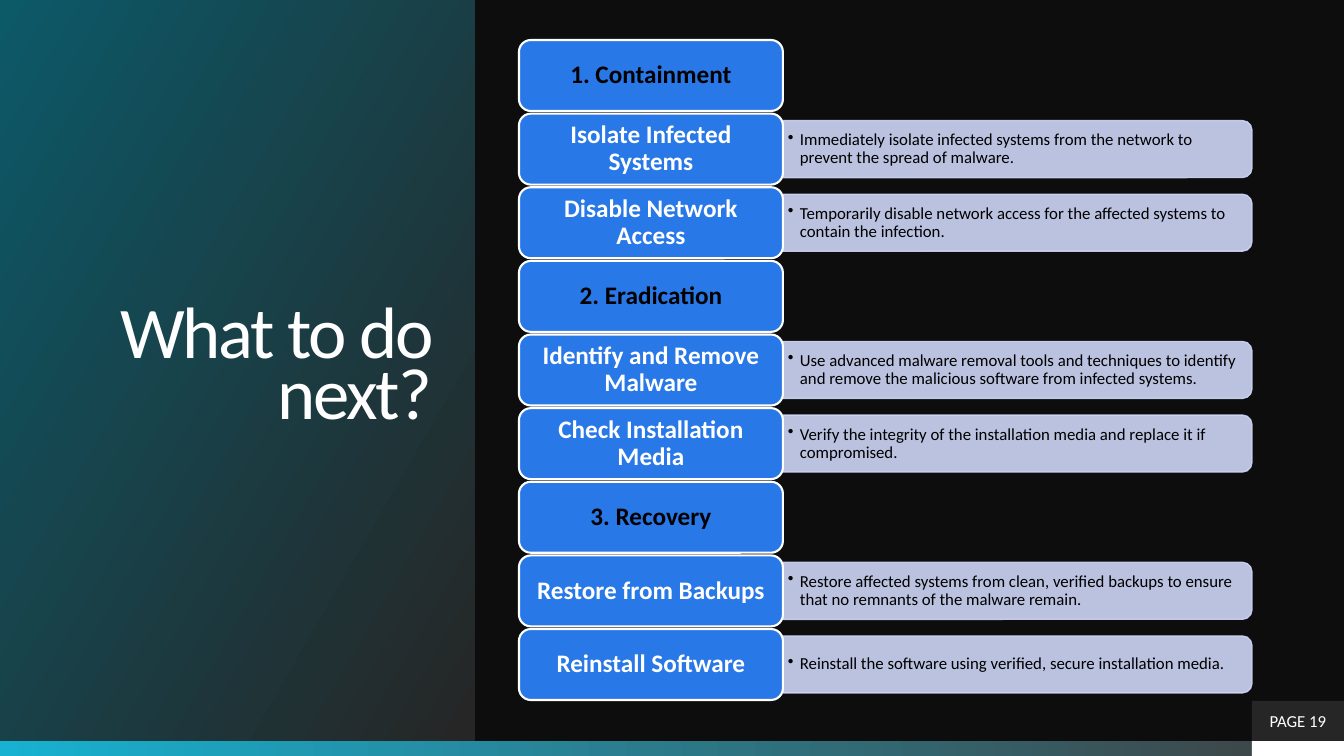
from pptx import Presentation
from pptx.dml.color import RGBColor
from pptx.enum.shapes import MSO_SHAPE as Shape
from pptx.enum.text import MSO_ANCHOR as Anchor, PP_ALIGN as Align
from pptx.oxml.ns import qn
from pptx.util import Pt
from lxml.etree import SubElement

PX = 914400 / 100.8
COLORS = {
    "backdrop": "0D0D0D", "white": "FFFFFF", "black": "000000",
    "charcoal": "262626", "gray": "404040", "teal": "0C5968",
    "cyan": "17B2D1", "blue": "2978E7", "lavender": "CDD6F6",
}
STEPS = [
    ("1. Containment", None),
    ("Isolate Infected Systems",
     "Immediately isolate infected systems from the network to prevent the spread of malware."),
    ("Disable Network Access",
     "Temporarily disable network access for the affected systems to contain the infection."),
    ("2. Eradication", None),
    ("Identify and Remove Malware",
     "Use advanced malware removal tools and techniques to identify and remove the malicious "
     "software from infected systems."),
    ("Check Installation Media",
     "Verify the integrity of the installation media and replace it if compromised."),
    ("3. Recovery", None),
    ("Restore from Backups",
     "Restore affected systems from clean, verified backups to ensure that no remnants of the "
     "malware remain."),
    ("Reinstall Software",
     "Reinstall the software using verified, secure installation media."),
]


def emu(px):
    """Turn pixels into EMU."""
    return round(px * PX)


def rgb(name):
    """Look up a named colour."""
    return RGBColor.from_string(COLORS[name])


def add_panel(slide, box, fill=None, kind=Shape.RECTANGLE, line=None, line_pt=1):
    """Add a shadowless shape with an optional solid fill and outline."""
    panel = slide.shapes.add_shape(kind, *map(emu, box))
    panel.shadow.inherit = False
    if fill:
        panel.fill.solid()
        panel.fill.fore_color.rgb = rgb(fill)
    if line:
        panel.line.color.rgb = rgb(line)
        panel.line.width = Pt(line_pt)
    else:
        panel.line.fill.background()
    return panel


def shade(panel, stops, angle):
    """Fill a panel with a two-stop gradient."""
    panel.fill.gradient()
    panel.fill.gradient_angle = angle
    for stop, (position, color) in zip(panel.fill.gradient_stops, stops):
        stop.position = position
        stop.color.rgb = rgb(color)


def write(holder, text, size, color="white", align=Align.CENTER, bold=False,
          spacing=1.0, insets=(10, 5), tracking=0, bullet_indent=0):
    """Write one formatted paragraph into a shape or text box."""
    frame = holder.text_frame
    frame.word_wrap = True
    frame.vertical_anchor = Anchor.MIDDLE
    frame.margin_left = frame.margin_right = emu(insets[0])
    frame.margin_top = frame.margin_bottom = emu(insets[1])
    paragraph = frame.paragraphs[0]
    paragraph.alignment = align
    paragraph.line_spacing = spacing
    run = paragraph.add_run()
    run.text = text
    run.font.name = "Calibri"
    run.font.size = Pt(size)
    run.font.bold = bold
    run.font.color.rgb = rgb(color)
    if tracking:
        run.font._element.set("spc", str(tracking))
    if bullet_indent:
        props = paragraph._p.get_or_add_pPr()
        props.set("marL", str(emu(bullet_indent)))
        props.set("indent", str(-emu(bullet_indent)))
        SubElement(props, qn("a:buChar")).set("char", "•")


def add_footer(slide, box, tab_width):
    """Draw the bottom gradient strip with its white end."""
    left, top, width, height = box
    shade(add_panel(slide, box), [(0, "cyan"), (1, "gray")], 0)
    add_panel(slide, (left + width - tab_width, top, tab_width, height), "white")


def add_title(slide, box):
    """Draw the gradient title panel."""
    title = add_panel(slide, box)
    shade(title, [(0.01, "charcoal"), (1, "teal")], 150)
    write(title, "What to do next?", 52, align=Align.RIGHT, spacing=0.7,
          insets=(43, 0), tracking=-150)


def add_page_tab(slide, box):
    """Draw the page number tab."""
    write(add_panel(slide, box, "charcoal"), "PAGE 19", 12)


def add_detail(slide, box, detail):
    """Draw a bar rounded on its right side, with bulleted text over it."""
    left, top, width, height = box
    upright = (left + (width - height) / 2, top + (height - width) / 2, height, width)
    bar = add_panel(slide, upright, "lavender", Shape.ROUND_2_SAME_RECTANGLE, "lavender")
    bar.rotation = 90
    for color in bar._element.spPr.iter(qn("a:srgbClr")):
        SubElement(color, qn("a:alpha")).set("val", "90000")
    caption = slide.shapes.add_textbox(*map(emu, (left, top + 3, width - 3, height - 6)))
    write(caption, detail, 12, "black", Align.LEFT, spacing=0.9, insets=(5, 3),
          bullet_indent=12)


def add_steps(slide, box, label_width=264, label_height=71, bar_height=57):
    """Stack the step labels evenly in the box, each with its detail bar."""
    left, top, width, height = box
    pitch = (height - label_height) / (len(STEPS) - 1)
    for index, (name, detail) in enumerate(STEPS):
        row_top = top + index * pitch
        if detail:
            bar_top = row_top + (label_height - bar_height) / 2
            add_detail(slide, (left + label_width, bar_top, width - label_width, bar_height),
                       detail)
        label = add_panel(slide, (left, row_top, label_width, label_height), "blue",
                          Shape.ROUNDED_RECTANGLE, "white", 1.5)
        write(label, name, 18, "white" if detail else "black", bold=True,
              spacing=0.9, insets=(7, 4))


def main():
    """Build and save the slide."""
    deck = Presentation()
    deck.slide_width, deck.slide_height = emu(1344), emu(756)
    slide = deck.slides.add_slide(deck.slide_layouts[6])
    slide.background.fill.solid()
    slide.background.fill.fore_color.rgb = rgb("backdrop")
    add_footer(slide, (0, 741, 1344, 15), 92)
    add_title(slide, (0, 0, 475, 741))
    add_page_tab(slide, (1252, 701, 92, 40))
    add_steps(slide, (519, 40, 733, 660))
    deck.save("out.pptx")


if __name__ == "__main__":
    main()
